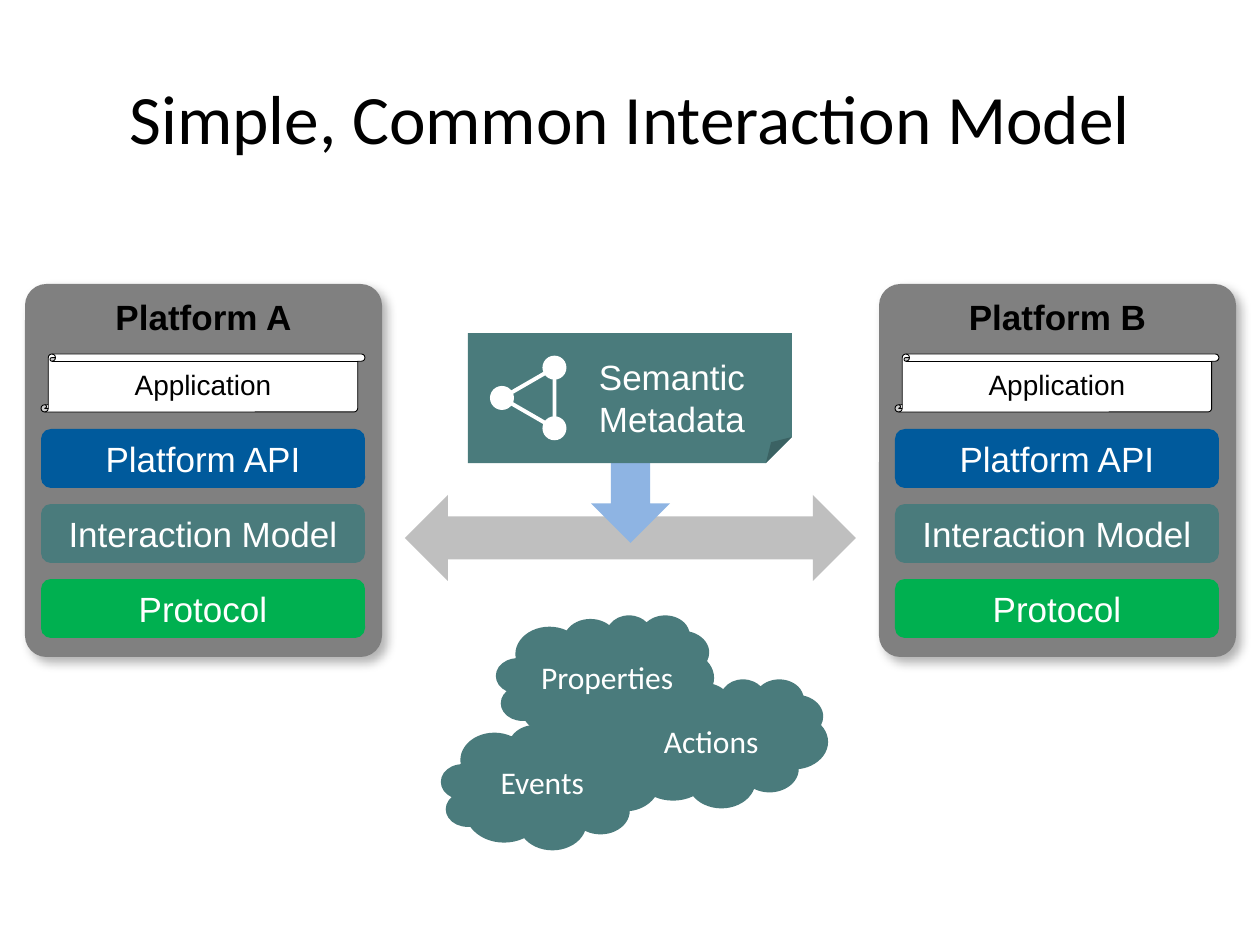
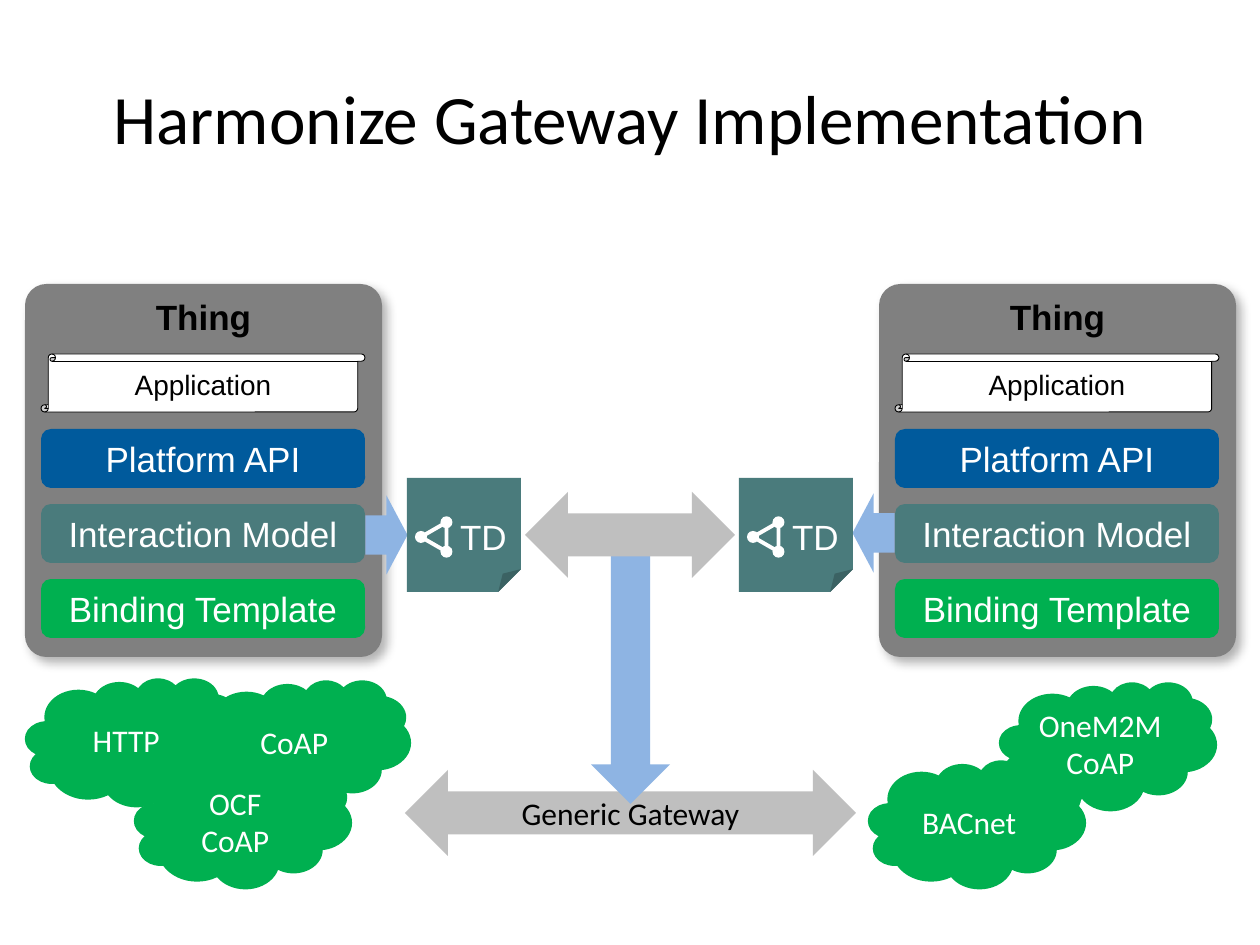
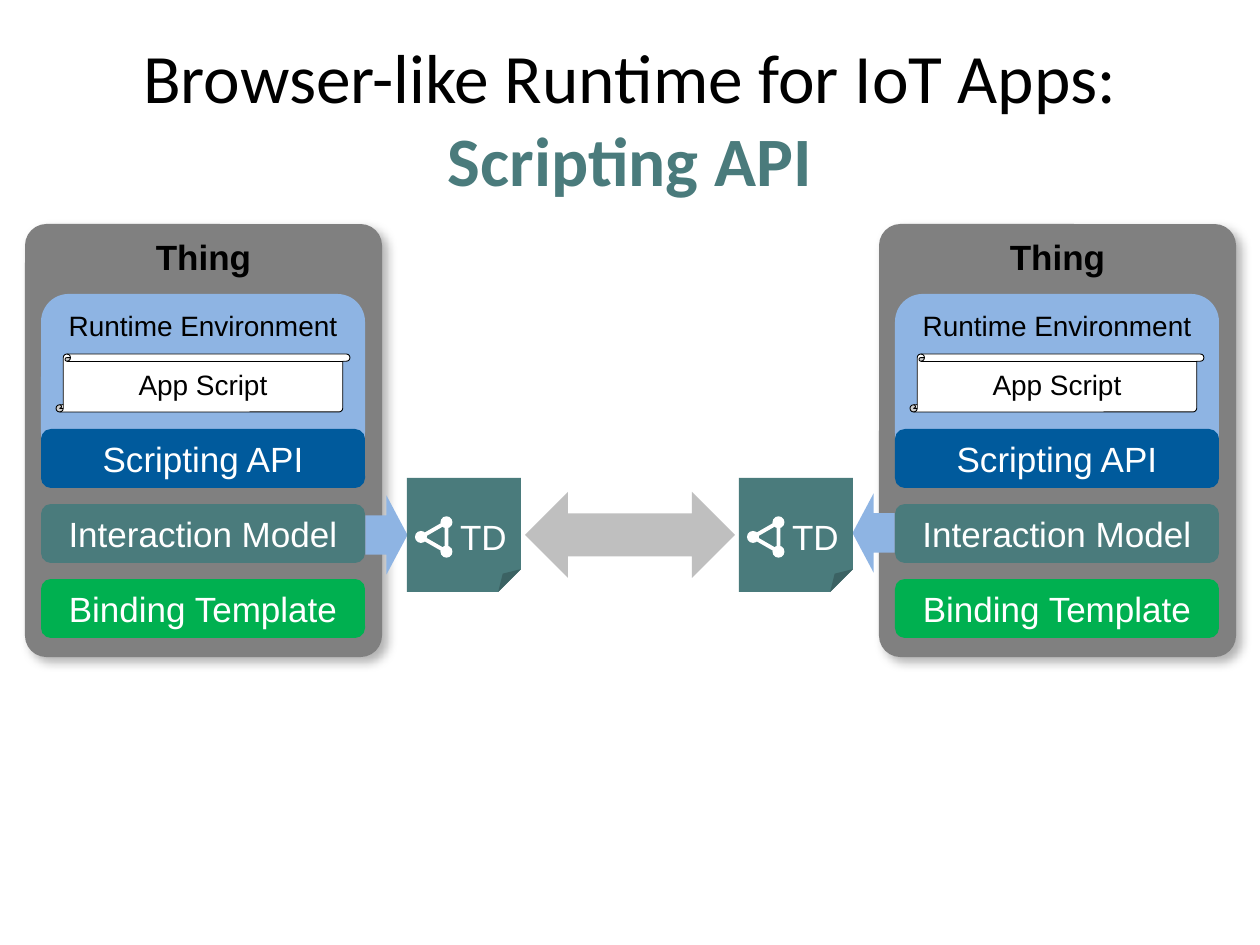
"""Build three slides about interaction models between connected platforms."""
from dataclasses import dataclass
from math import cos, radians, sin, sqrt

from lxml.etree import SubElement
from pptx import Presentation
from pptx.dml.color import RGBColor
from pptx.enum.shapes import MSO_SHAPE
from pptx.enum.text import MSO_ANCHOR, MSO_AUTO_SIZE, PP_ALIGN
from pptx.oxml.ns import qn
from pptx.util import Emu, Pt


@dataclass(frozen=True)
class Theme:
    """Colours, fonts and type sizes shared by all slides."""
    black: str = "000000"
    white: str = "FFFFFF"
    panel: str = "808080"
    api: str = "005A9C"
    model: str = "4A7B7C"
    protocol: str = "00B050"
    link: str = "BFBFBF"
    flow: str = "8EB4E3"
    heading_font: str = "Calibri"
    diagram_font: str = "Arial"
    title_size: float = 39.6
    label_size: int = 20
    cloud_size: int = 18
    script_size: int = 16


@dataclass(frozen=True)
class TextStyle:
    """Look of a run of text."""
    size: float
    color: str
    font: str = Theme.diagram_font
    bold: bool = False


THEME = Theme()
TITLE = TextStyle(THEME.title_size, THEME.black, THEME.heading_font)
TITLE_ACCENT = TextStyle(THEME.title_size, THEME.model, THEME.heading_font, True)
PANEL_NAME = TextStyle(THEME.label_size, THEME.black, bold=True)
LABEL = TextStyle(THEME.label_size, THEME.white)
SCRIPT = TextStyle(THEME.script_size, THEME.black)
CLOUD = TextStyle(THEME.cloud_size, THEME.white, THEME.heading_font)
GATEWAY = TextStyle(THEME.cloud_size, THEME.black, THEME.heading_font)

PIXELS_PER_INCH = 126
PANEL_LEFTS = (25, 879)
PANEL_WIDTH = 357
PANEL_BOTTOM = 657
BAR_INDENT = 16
BAR_WIDTH = 324
BAR_HEIGHT = 59
BAR_TOP = 429
BAR_PITCH = 75
CLOUD_SIZE = (218, 129)
DEFAULT_INSETS = (13, 6, 13, 6)


def px(length):
    """Turn pixels into EMU."""
    return Emu(round(length * 914400 / PIXELS_PER_INCH))


def add_run(paragraph, text, style):
    """Add one formatted run."""
    run = paragraph.add_run()
    run.text = text
    run.font.size = Pt(style.size)
    run.font.name = style.font
    run.font.bold = style.bold
    run.font.color.rgb = RGBColor.from_string(style.color)


def write_text(shape, lines, style, anchor=MSO_ANCHOR.MIDDLE,
               insets=DEFAULT_INSETS, separate=False):
    """Write centred lines, as separate paragraphs or with line breaks."""
    frame = shape.text_frame
    frame.word_wrap = False
    frame.vertical_anchor = anchor
    (frame.margin_left, frame.margin_top,
     frame.margin_right, frame.margin_bottom) = map(px, insets)
    paragraph = frame.paragraphs[0]
    for index, line in enumerate(lines):
        if index and separate:
            paragraph = frame.add_paragraph()
        elif index:
            paragraph.add_line_break()
        paragraph.alignment = PP_ALIGN.CENTER
        add_run(paragraph, line, style)


def add_block(shapes, kind, box, fill=None, line=None, line_width=0.5, rotation=0):
    """Add a flat preset shape."""
    shape = shapes.add_shape(kind, *map(px, box))
    shape.shadow.inherit = False
    shape.rotation = rotation
    if fill:
        shape.fill.solid()
        shape.fill.fore_color.rgb = RGBColor.from_string(fill)
    else:
        shape.fill.background()
    if line:
        shape.line.color.rgb = RGBColor.from_string(line)
        shape.line.width = Pt(line_width)
    else:
        shape.line.fill.background()
    return shape


def add_drop_shadow(shape):
    """Give a shape a soft shadow to the lower right."""
    effects = shape.element.spPr.find(qn("a:effectLst"))
    shadow = SubElement(effects, qn("a:outerShdw"), blurRad=str(Pt(6)),
                        dist=str(Pt(4)), dir=str(45 * 60000), rotWithShape="0")
    color = SubElement(shadow, qn("a:srgbClr"), val=THEME.black)
    SubElement(color, qn("a:alpha"), val="30000")


def set_fold(card):
    """Set the size of a card's folded corner."""
    geometry = card.element.spPr.find(qn("a:prstGeom"))
    guides = geometry.find(qn("a:avLst"))
    if guides is None:
        guides = SubElement(geometry, qn("a:avLst"))
    SubElement(guides, qn("a:gd"), name="adj", fmla="val 20000")


def add_slide(presentation, *title_lines):
    """Add a title-only slide; each title line is a text and its style."""
    slide = presentation.slides.add_slide(presentation.slide_layouts[5])
    title = slide.shapes.title
    title.left, title.top, title.width, title.height = map(px, (63, 38, 1134, 158))
    frame = title.text_frame
    frame.auto_size = MSO_AUTO_SIZE.NONE
    frame.vertical_anchor = MSO_ANCHOR.MIDDLE
    paragraph = frame.paragraphs[0]
    paragraph.alignment = PP_ALIGN.CENTER
    for index, (text, style) in enumerate(title_lines):
        if index:
            paragraph.add_line_break()
        add_run(paragraph, text, style)
    return slide


def add_panel(slide, left, top, name):
    """Add the grey box of a platform or thing."""
    panel = add_block(slide.shapes, MSO_SHAPE.ROUNDED_RECTANGLE,
                      (left, top, PANEL_WIDTH, PANEL_BOTTOM - top), THEME.panel)
    panel.adjustments[0] = 0.06
    add_drop_shadow(panel)
    write_text(panel, [name], PANEL_NAME, MSO_ANCHOR.TOP, (13, 5, 13, 10))


def add_scroll(slide, left, width, text):
    """Add the white script scroll."""
    scroll = add_block(slide.shapes, MSO_SHAPE.VERTICAL_SCROLL,
                       (left, 354, width, 58), THEME.white, THEME.black)
    write_text(scroll, [text], SCRIPT)


def add_bars(slide, left, labels):
    """Stack the API, model and protocol bars."""
    fills = (THEME.api, THEME.model, THEME.protocol)
    for index, (label, fill) in enumerate(zip(labels, fills)):
        bar = add_block(slide.shapes, MSO_SHAPE.ROUNDED_RECTANGLE,
                        (left, BAR_TOP + index * BAR_PITCH, BAR_WIDTH, BAR_HEIGHT), fill)
        write_text(bar, [label], LABEL)


def add_application_stack(slide, left, name, bar_labels):
    """Add a panel whose application runs on the platform API."""
    add_panel(slide, left, 284, name)
    add_scroll(slide, left + BAR_INDENT, BAR_WIDTH, "Application")
    add_bars(slide, left + BAR_INDENT, bar_labels)


def add_runtime_stack(slide, left):
    """Add a panel whose script runs in a runtime environment."""
    add_panel(slide, left, 224, "Thing")
    runtime = add_block(slide.shapes, MSO_SHAPE.ROUNDED_RECTANGLE,
                        (left + BAR_INDENT, 294, BAR_WIDTH, 166), THEME.flow)
    write_text(runtime, ["Runtime Environment"], SCRIPT, MSO_ANCHOR.TOP)
    add_bars(slide, left + BAR_INDENT,
             ("Scripting API", "Interaction Model", "Binding Template"))
    add_scroll(slide, left + 31, 294, "App Script")


def add_graph_symbol(shapes, center_x, center_y, radius, node_size):
    """Draw three linked nodes around a centre."""
    width, height = radius * sqrt(3), radius * 1.5
    middle_x = center_x + radius / 4 * sin(radians(30))
    middle_y = center_y - radius / 4 * cos(radians(30))
    add_block(shapes, MSO_SHAPE.ISOSCELES_TRIANGLE,
              (middle_x - width / 2, middle_y - height / 2, width, height),
              line=THEME.white, line_width=2.25, rotation=30)
    for angle in (-60, 180, 60):
        node_x = center_x + radius * cos(radians(angle))
        node_y = center_y + radius * sin(radians(angle))
        add_block(shapes, MSO_SHAPE.OVAL,
                  (node_x - node_size / 2, node_y - node_size / 2, node_size, node_size),
                  THEME.white)


def add_metadata_card(slide, box, lines, insets, symbol):
    """Add a grouped folded card with a graph symbol and text."""
    shapes = slide.shapes.add_group_shape().shapes
    card = add_block(shapes, MSO_SHAPE.FOLDED_CORNER, box, THEME.model)
    set_fold(card)
    write_text(card, lines, LABEL, insets=insets, separate=True)
    add_graph_symbol(shapes, *symbol)


def add_link(shapes, box):
    """Add a grey two-way arrow."""
    return add_block(shapes, MSO_SHAPE.LEFT_RIGHT_ARROW, box, THEME.link)


def add_flow(shapes, box, rotation=0):
    """Add a light blue arrow, pointing down unless rotated."""
    add_block(shapes, MSO_SHAPE.DOWN_ARROW, box, THEME.flow, rotation=rotation)


def add_cloud(slide, left, top, lines, fill, insets=DEFAULT_INSETS):
    """Add a labelled cloud."""
    cloud = add_block(slide.shapes, MSO_SHAPE.CLOUD, (left, top, *CLOUD_SIZE), fill)
    write_text(cloud, lines, CLOUD, insets=insets)


def add_description_exchange(slide):
    """Link the two thing descriptions with each other and their models."""
    add_flow(slide.shapes, (347, 514, 79, 42), 270)
    add_flow(slide.shapes, (834, 512, 79, 42), 90)
    add_link(slide.shapes, (525, 492, 210, 86))
    for left in (407, 739):
        add_metadata_card(slide, (left, 478, 114, 114), ["TD"], (39, 25, 0, 0),
                          (left + 31, 537, 17, 12))


def build_interaction_model(presentation):
    """Build the slide on the common interaction model."""
    slide = add_slide(presentation, ("Simple, Common Interaction Model", TITLE))
    for left, name in zip(PANEL_LEFTS, ("Platform A", "Platform B")):
        add_application_stack(slide, left, name,
                              ("Platform API", "Interaction Model", "Protocol"))
    add_link(slide.shapes, (405, 495, 451, 86))
    add_flow(slide.shapes, (591, 406, 79, 137))
    add_metadata_card(slide, (468, 333, 324, 130), ["Semantic", "Metadata"],
                      (84, 30, 0, 5), (537, 398, 35, 24))
    add_cloud(slide, 496, 615, ["Properties"], THEME.model, (20, 6, 0, 6))
    add_cloud(slide, 610, 679, ["Actions"], THEME.model)
    add_cloud(slide, 441, 721, ["Events"], THEME.model)


def build_gateway(presentation):
    """Build the slide on gateway implementation."""
    slide = add_slide(presentation, ("Harmonize Gateway Implementation", TITLE))
    for left in PANEL_LEFTS:
        add_application_stack(slide, left, "Thing",
                              ("Platform API", "Interaction Model", "Binding Template"))
    for left, top, lines in (
        (25, 678, ["HTTP"]),
        (193, 680, ["CoAP"]),
        (999, 682, ["OneM2M", "CoAP"]),
        (134, 760, ["OCF", "CoAP"]),
        (868, 760, ["BACnet"]),
    ):
        add_cloud(slide, left, top, lines, THEME.protocol)
    gateway_shapes = slide.shapes.add_group_shape().shapes
    gateway = add_link(gateway_shapes, (405, 770, 451, 86))
    write_text(gateway, ["Generic Gateway"], GATEWAY)
    add_flow(gateway_shapes, (591, 528, 79, 276))
    add_description_exchange(slide)


def build_scripting(presentation):
    """Build the slide on the scripting runtime."""
    slide = add_slide(presentation, ("Browser-like Runtime for IoT Apps:", TITLE),
                      ("Scripting API", TITLE_ACCENT))
    for left in PANEL_LEFTS:
        add_runtime_stack(slide, left)
    add_description_exchange(slide)


def main():
    """Build and save the presentation."""
    presentation = Presentation()
    presentation.slide_width = px(1260)
    presentation.slide_height = px(945)
    build_interaction_model(presentation)
    build_gateway(presentation)
    build_scripting(presentation)
    presentation.save("out.pptx")


if __name__ == "__main__":
    main()
